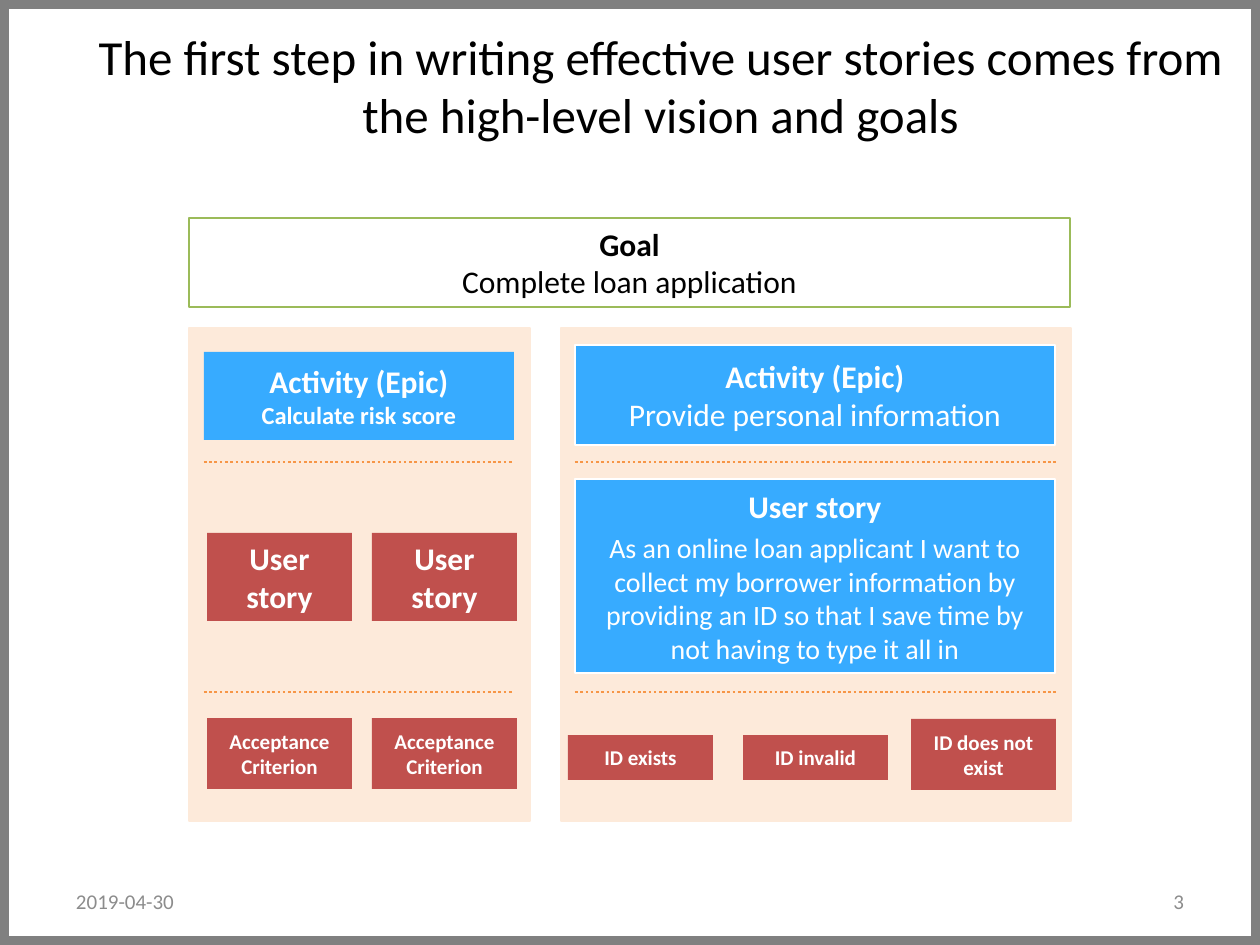
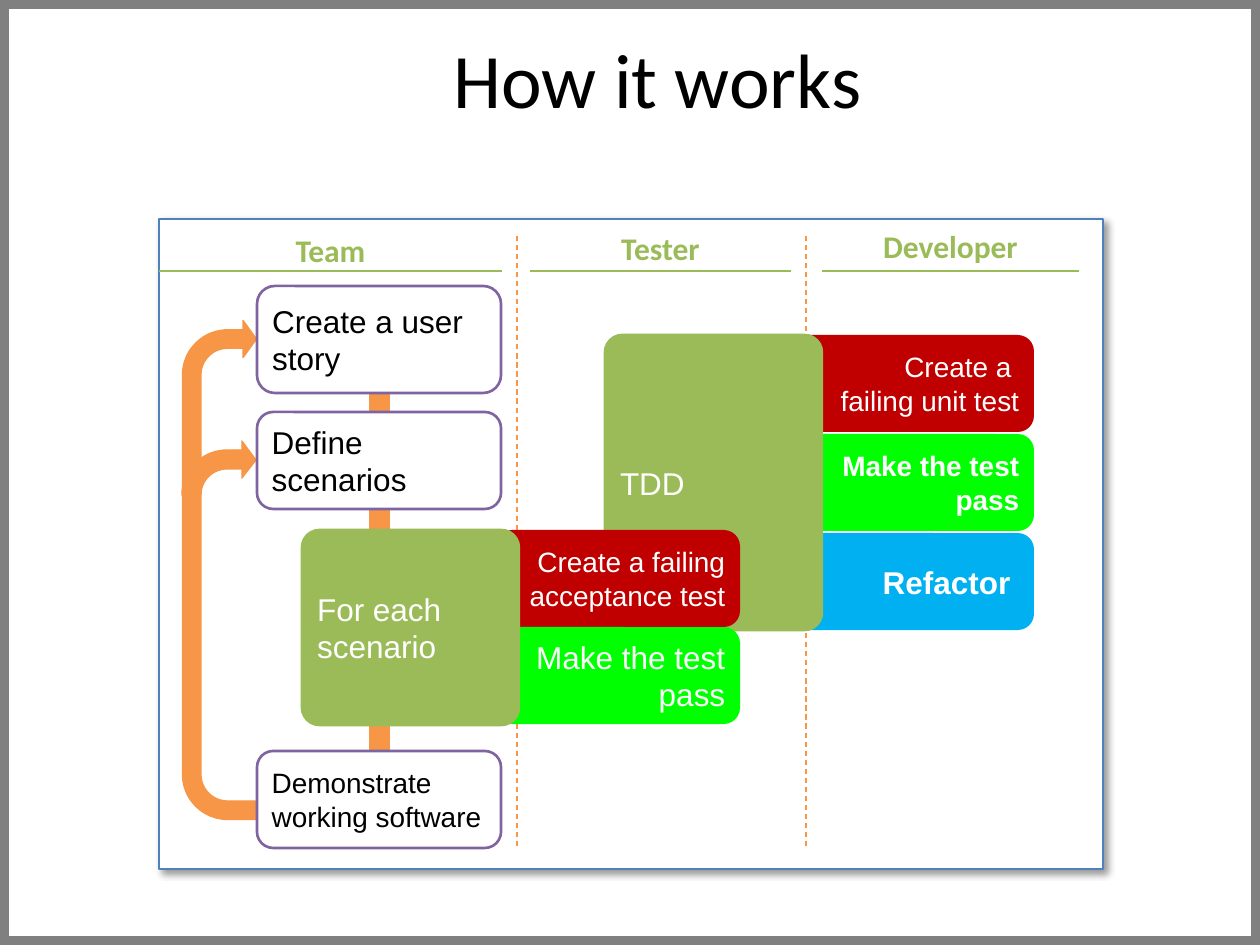
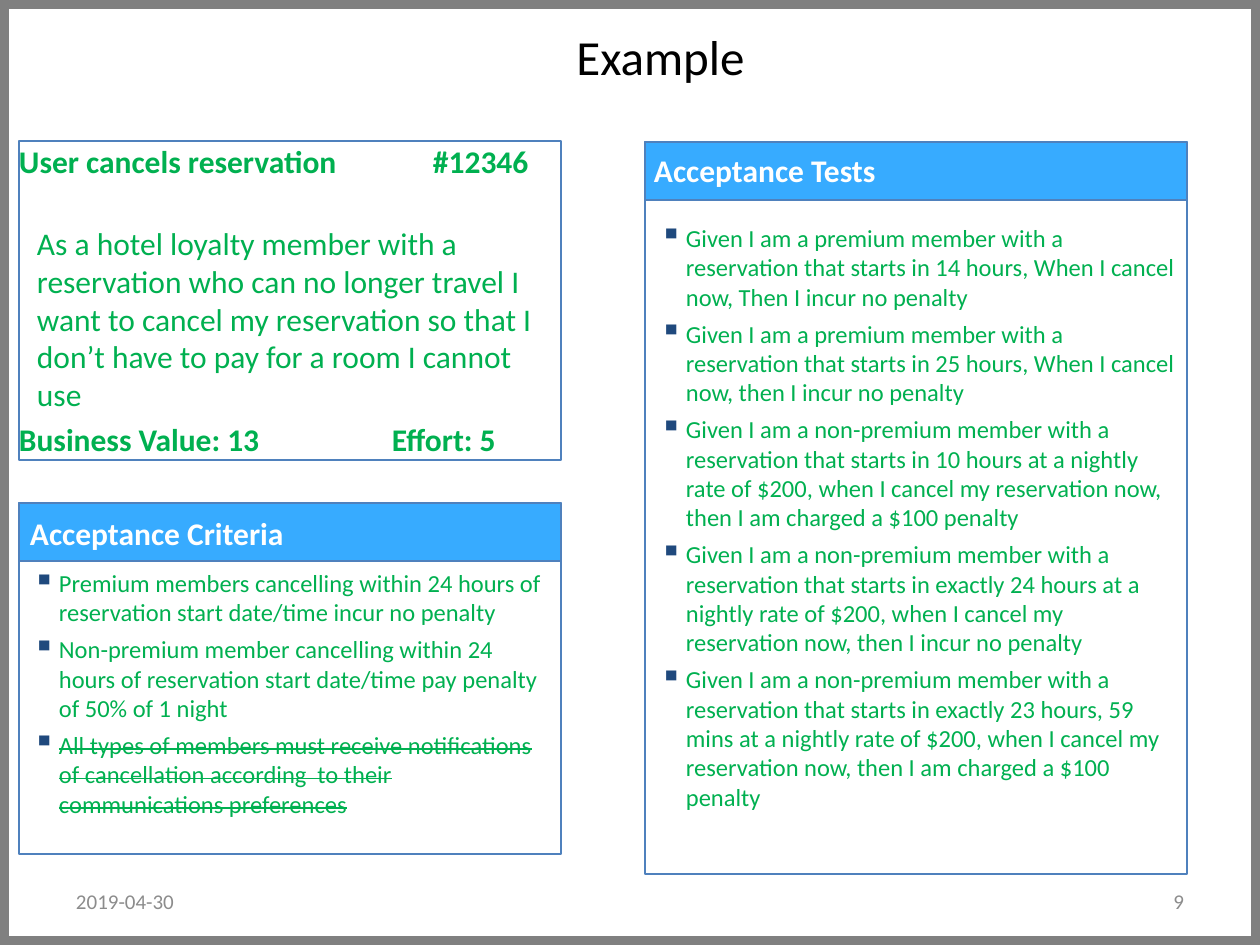
import math
from lxml import etree
from pptx import Presentation
from pptx import util as u
from pptx.dml.color import RGBColor
from pptx.enum import dml, shapes, text
from pptx.oxml.ns import qn

SCALE = 914400 / 126
BLACK, WHITE, GREY = "000000", "FFFFFF", "8C8C8C"
SKY, RED, PEACH, ORANGE = "37ABFF", "C0504D", "FDEADA", "F79646"
OLIVE, BLUE, PURPLE, NAVY = "9BBB59", "4F81BD", "8064A2", "1F497D"
GREEN, CRIMSON, LIME, CYAN = "00B050", "C00000", "00FF00", "00B0F0"
RECT, ROUND = shapes.MSO_SHAPE.RECTANGLE, shapes.MSO_SHAPE.ROUNDED_RECTANGLE
LEFT, MID, RIGHT = text.PP_ALIGN.LEFT, text.PP_ALIGN.CENTER, text.PP_ALIGN.RIGHT
TOP, CENTRE, BOTTOM = text.MSO_ANCHOR.TOP, text.MSO_ANCHOR.MIDDLE, text.MSO_ANCHOR.BOTTOM
DATE = "2019-04-30"

# Story map: a paragraph is (words, size, bold)
GOAL = [("Goal", 18, True), ("Complete loan application", 18, False)]
BANDS = [(561, 510), (189, 341)]
RULES = [(204, 514), (575, 1056)]
RULE_YS = [462, 692]
EPIC = ("Activity (Epic)", 18, True)
STORY = ("User story", 18, True)
CARDS = [
    ((204, 352, 310, 88), [EPIC, ("Calculate risk score", 14, True)], SKY, None),
    ((575, 345, 480, 100), [EPIC, ("Provide personal information", 18, False)], SKY, WHITE),
    ((575, 479, 480, 194), [STORY, (
        "As an online loan applicant I want to collect my borrower information by "
        "providing an ID so that I save time by not having to type it all in", 16, False)],
     SKY, WHITE),
]
LEFT_XS = [207, 372]
LEFT_ROWS = [(533, 88, STORY), (718, 71, ("Acceptance Criterion", 12, True))]
CHECKS = [(568, 735, 45, "ID exists"), (743, 735, 45, "ID invalid"),
          (911, 719, 71, "ID does not exist")]

# Workflow
HEADS = [("Team", 159, 343, 231), ("Tester", 530, 261, 229), ("Developer", 822, 257, 227)]
SPLITS = [517, 806]
UNIT = [([("Create a ", 16, False), ("failing unit test", 16, False)], CRIMSON),
        ([("Make the test pass", 16, True)], LIME),
        ([("Refactor ", 18, True)], CYAN)]
ACCEPT = [([("Create a failing acceptance test", 16, False)], CRIMSON),
          ([("Make the test pass", 18, False)], LIME)]
STEPS = [("Create a user story", 18, 286, 107), ("Define scenarios", 18, 412, 97),
         ("Demonstrate working software", 16, 751, 97)]

# Example
CARD = [
    ("User cancels reservation", True, 19, 142, 319),
    ("As a hotel loyalty member with a reservation who can no longer travel I want to "
     "cancel my reservation so that I don’t have to pay for a room I cannot use",
     False, 37, 224, 514),
    ("#12346", True, 433, 142, 127),
    ("Business Value: 13", True, 19, 420, 319),
    ("Effort: 5", True, 392, 420, 158),
]
CRITERIA = [
    "Premium members cancelling within 24 hours of reservation start date/time incur "
    "no penalty",
    "Non-premium member cancelling within 24 hours of reservation start date/time pay "
    "penalty of 50% of 1 night",
    "All types of members must receive notifications of cancellation according  to "
    "their communications preferences",
]
TESTS = [
    "Given I am a premium member with a reservation that starts in 14 hours, When I "
    "cancel now, Then I incur no penalty",
    "Given I am a premium member with a reservation that starts in 25 hours, When I "
    "cancel now, then I incur no penalty",
    "Given I am a non-premium member with a reservation that starts in 10 hours at a "
    "nightly rate of $200, when I cancel my reservation now, then I am charged a $100 penalty",
    "Given I am a non-premium member with a reservation that starts in exactly 24 hours "
    "at a nightly rate of $200, when I cancel my reservation now, then I incur no penalty",
    "Given I am a non-premium member with a reservation that starts in exactly 23 hours, "
    "59 mins at a nightly rate of $200, when I cancel my reservation now, then I am "
    "charged a $100 penalty",
]


def px(n):
    return u.Emu(round(n * SCALE))


def rgb(code):
    return RGBColor.from_string(code)


def paint(shape, fill, line=None, width=1.5):
    shape.shadow.inherit = False
    if fill:
        shape.fill.solid()
        shape.fill.fore_color.rgb = rgb(fill)
    else:
        shape.fill.background()
    if line:
        shape.line.color.rgb = rgb(line)
        shape.line.width = u.Pt(width)
    else:
        shape.line.fill.background()


def style(par, size, color, bold=False, face="Calibri", align=LEFT):
    par.alignment = align
    font = par.font
    font.size, font.bold, font.name = u.Pt(size), bold, face
    font.color.rgb = rgb(color)


def frame_text(shape, anchor, pad):
    frame = shape.text_frame
    frame.word_wrap, frame.auto_size = True, text.MSO_AUTO_SIZE.NONE
    frame.vertical_anchor = anchor
    frame.margin_left = frame.margin_right = px(pad)
    frame.margin_top = frame.margin_bottom = px(min(pad, 10))
    return frame


def write(shape, pars, color, align=LEFT, anchor=TOP, face="Calibri", pad=0):
    frame = frame_text(shape, anchor, pad)
    for i, (words, size, bold) in enumerate(pars):
        par = frame.add_paragraph() if i else frame.paragraphs[0]
        par.text = words
        style(par, size, color, bold, face, align)
    return frame


def box(slide, kind, at, fill, line=None, width=1.5, adj=None):
    shape = slide.shapes.add_shape(kind, *map(px, at))
    paint(shape, fill, line, width)
    for i, value in enumerate(adj or []):
        shape.adjustments[i] = value
    return shape


def label(slide, at, pars, color, **how):
    return write(slide.shapes.add_textbox(*map(px, at)), pars, color, **how)


def rule(slide, ends, color, width, dash=None):
    line = slide.shapes.add_connector(shapes.MSO_CONNECTOR.STRAIGHT, *map(px, ends))
    line.line.color.rgb = rgb(color)
    line.line.width = u.Pt(width)
    if dash:
        line.line.dash_style = dash
    etree.SubElement(line._element.spPr, qn("a:effectLst"))


def bullets(slide, at, items):
    frame = label(slide, at, [(item, 14, False) for item in items], GREEN)
    for par in frame.paragraphs:
        par.space_before = u.Pt(4.2)
        props = par._p.get_or_add_pPr()
        props.set("marL", str(px(28)))
        props.set("indent", str(px(-26)))
        marks = [etree.Element(qn("a:" + tag)) for tag in ("buClr", "buSzPct", "buChar")]
        etree.SubElement(marks[0], qn("a:srgbClr"), val=NAVY)
        marks[1].set("val", "125000")
        marks[2].set("char", "▪")
        for mark in marks:
            props.find(qn("a:defRPr")).addprevious(mark)
    return frame


def cast(shape):
    """Give the shape a soft shadow to its lower right."""
    effects = shape._element.spPr.find(qn("a:effectLst"))
    shade = etree.SubElement(effects, qn("a:outerShdw"), blurRad=str(u.Pt(4)),
                             dist=str(u.Pt(3)), dir="2700000", algn="tl", rotWithShape="0")
    color = etree.SubElement(shade, qn("a:srgbClr"), val=BLACK)
    etree.SubElement(color, qn("a:alpha"), val="40000")


def start(deck, words, at=(24, 26, 1211, 118), size=28, indent=62, number=None):
    """Add a slide with its title and, if numbered, its footer."""
    slide = deck.slides.add_slide(deck.slide_layouts[5])
    title = slide.shapes.title
    title.left, title.top, title.width, title.height = map(px, at)
    par = write(title, [(words, size, False)], BLACK, align=MID).paragraphs[0]
    par._p.get_or_add_pPr().set("marL", str(px(indent)))
    if number:
        for x, words, align in ((63, DATE, LEFT), (903, number, RIGHT)):
            label(slide, (x, 876, 294, 50), [(words, 12, False)], GREY,
                  align=align, anchor=CENTRE, pad=13)
    return slide


def border(deck, slide):
    """Draw the grey edge and hand it to the master."""
    edge = box(slide, RECT, (0, 0, 1260, 945), None, "808080", 10)
    deck.slide_master.shapes.element.append(edge._element)


def story_map(deck):
    slide = start(deck, "The first step in writing effective user stories comes from "
                  "the high-level vision and goals", number="3")
    border(deck, slide)

    def card(at, pars, fill, line=None, width=1.0, color=WHITE):
        return write(box(slide, RECT, at, fill, line, width), pars, color,
                     align=MID, anchor=CENTRE, pad=10)

    for x, wide in BANDS:
        box(slide, RECT, (x, 328, wide, 493), PEACH, PEACH)
    card((189, 218, 881, 89), GOAL, WHITE, OLIVE, 1.5, BLACK)
    for at, pars, fill, line in CARDS:
        frame = card(at, pars, fill, line)
    frame.paragraphs[1].space_before = u.Pt(3.2)
    for y, high, par in LEFT_ROWS:
        for x in LEFT_XS:
            card((x, y, 145, high), [par], RED)
    for y in RULE_YS:
        for x, end in RULES:
            rule(slide, (x, y, end, y), ORANGE, 1.5, dml.MSO_LINE.ROUND_DOT)
    for x, y, high, words in CHECKS:
        card((x, y, 145, high), [(words, 12, True)], RED)


def arc(x, y, radius, turns):
    return [(x + radius * math.cos(math.radians(a)), y + radius * math.sin(math.radians(a)))
            for a in turns]


def bend(slide):
    """Draw the short arrow that joins the loop to the second step."""
    turns = range(180, 271, 5)
    head = [(242, 450), (242, 441), (256, 460), (242, 478), (242, 469)]
    points = [(px(x), px(y)) for x, y in
              arc(227, 495, 45, turns) + head + arc(227, 495, 26, reversed(turns))]
    build = slide.shapes.build_freeform(*points[0])
    build.add_line_segments(points[1:])
    paint(build.convert_to_shape(), ORANGE, ORANGE, 0.75)


def workflow(deck):
    slide = start(deck, "How it works", (42, 32, 1176, 71), 44, 55)

    def tile(at, pars, fill, line=None, adj=None, color=WHITE, align=LEFT):
        write(box(slide, ROUND, at, fill, line, adj=adj), pars, color, align=align,
              anchor=CENTRE, face="Arial", pad=10)

    def stack(x, y, step, tests):
        for i, (pars, fill) in enumerate(tests):
            tile((x, y + i * step, 244, 97), pars, fill, align=RIGHT)

    cast(box(slide, RECT, (159, 219, 944, 650), WHITE, BLUE))
    bend(slide)
    box(slide, RECT, (370, 389, 19, 362), ORANGE, ORANGE, 0.75)
    for x in SPLITS:
        rule(slide, (x, 236, x, 848), ORANGE, 0.75, dml.MSO_LINE.DASH)
    stack(790, 335, 99, UNIT)
    tile((605, 335, 217, 295), [("TDD", 18, False)], OLIVE, OLIVE, [0.08])
    stack(496, 530, 97, ACCEPT)
    tile((302, 530, 217, 195), [("For each scenario", 18, False)], OLIVE, OLIVE, [0.09])
    loop = box(slide, shapes.MSO_SHAPE.U_TURN_ARROW, (-30, 533, 499, 74), ORANGE, ORANGE,
               0.75, [0.25, 0.25, 0.18, 0.61, 1])
    loop.rotation = 270
    for words, x, wide, y in HEADS:
        label(slide, (x, y, wide, 38), [(words, 18, True)], OLIVE, align=MID, anchor=BOTTOM)
        rule(slide, (x, 271, x + wide, 271), OLIVE, 0.75)
    for words, size, y, high in STEPS:
        tile((257, y, 244, high), [(words, size, False)], WHITE, PURPLE, color=BLACK)


def example(deck):
    slide = start(deck, "Example", (24, 26, 1211, 59), number="9")

    def panel(x, y, high, head, at, list_at, items):
        box(slide, RECT, (x, y, 542, high), WHITE, BLUE)
        box(slide, RECT, (x, y, 542, 58), SKY, BLUE)
        label(slide, (*at, 518, 38), [(head, 18, True)], WHITE)
        return bullets(slide, list_at, items)

    frame = panel(19, 503, 351, "Acceptance Criteria", (30, 514), (31, 568, 518, 285), CRITERIA)
    frame.paragraphs[-1].runs[0]._r.get_or_add_rPr().set("strike", "sngStrike")
    box(slide, RECT, (19, 141, 542, 319), WHITE, BLUE)
    for words, bold, x, y, wide in CARD:
        label(slide, (x, y, wide, 39), [(words, 18, bold)], GREEN)
    panel(645, 142, 732, "Acceptance Tests", (654, 151), (658, 223, 518, 590), TESTS)


def main():
    deck = Presentation()
    deck.slide_width, deck.slide_height = px(1260), px(945)
    for build in (story_map, workflow, example):
        build(deck)
    deck.save("out.pptx")


if __name__ == "__main__":
    main()
